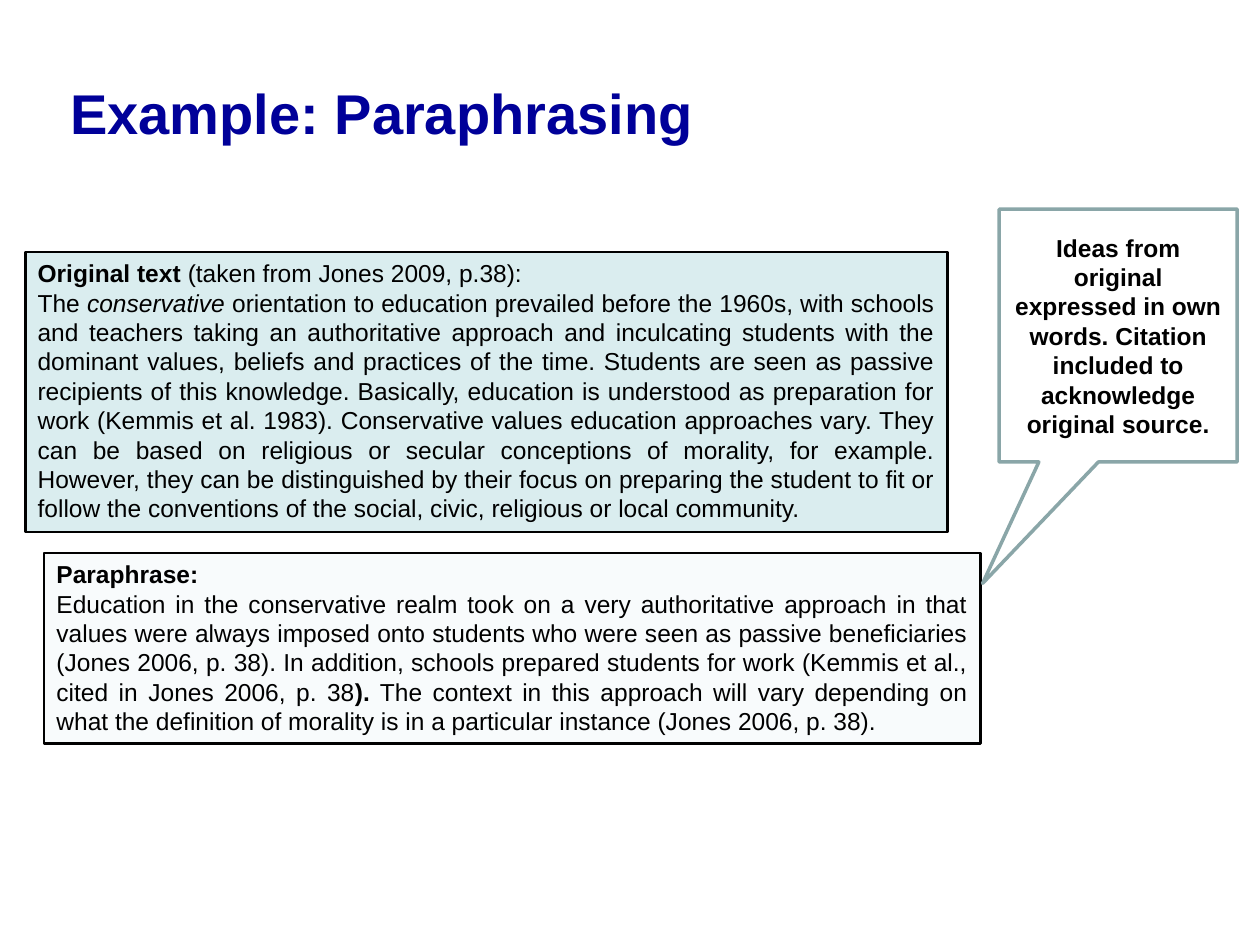
from pptx import Presentation
from pptx.dml.color import RGBColor
from pptx.enum import shapes, text
from pptx.util import Pt

NAVY = RGBColor(0x00, 0x00, 0x99)
BLACK = RGBColor(0x00, 0x00, 0x00)
WHITE = RGBColor(0xFF, 0xFF, 0xFF)
MINT = RGBColor(0xDA, 0xED, 0xEF)
PALE = RGBColor(0xF8, 0xFB, 0xFC)
SAGE = RGBColor(0x8A, 0xA6, 0xA8)

KIND = shapes.MSO_SHAPE
ALIGN = text.PP_ALIGN
ANCHOR = text.MSO_ANCHOR

SOURCE = [
    [("Original text ", "b"), ("(taken from Jones 2009, p.38):", "")],
    [("The ", ""), ("conservative", "i"),
     (" orientation to education prevailed before the 1960s, with schools and "
      "teachers taking an authoritative approach and inculcating students with "
      "the dominant values, beliefs and practices of the time. Students are seen "
      "as passive recipients of this knowledge. Basically, education is understood "
      "as preparation for work (Kemmis et al. 1983). Conservative values education "
      "approaches vary. They can be based on religious or secular conceptions of "
      "morality, for example. However, they can be distinguished by their focus on "
      "preparing the student to fit or follow the conventions of the social, civic, "
      "religious or local community.", "")],
]
REWRITE = [
    [("Paraphrase:", "b")],
    [("Education in the conservative realm took on a very authoritative approach "
      "in that values were always imposed onto students who were seen as passive "
      "beneficiaries (Jones 2006, p. 38). In addition, schools prepared students "
      "for work (Kemmis et al., cited in Jones 2006, p. 38", ""),
     (").", "b"),
     (" The context in this approach will vary depending on what the definition of "
      "morality is in a particular instance (Jones 2006, p. 38).", "")],
]
NOTE = [[("Ideas from original expressed in own words. Citation included to "
          "acknowledge original source.", "b")]]


def set_font(font, size, color):
    font.name = "Arial"
    font.size = Pt(size)
    font.color.rgb = color


def add_title(slide, words):
    title = slide.shapes.title
    title.left, title.top, title.width, title.height = map(Pt, (33, 45.5, 653, 67.5))
    frame = title.text_frame
    frame.text = words
    frame.vertical_anchor = ANCHOR.TOP
    frame.auto_size = text.MSO_AUTO_SIZE.NONE
    para = frame.paragraphs[0]
    para.alignment = ALIGN.LEFT
    para.line_spacing = 0.9
    para.space_before = Pt(3)
    set_font(para.font, 32, NAVY)
    para.font.bold = True


def add_panel(slide, kind, box, fill, line, width, paras, align, anchor):
    panel = slide.shapes.add_shape(kind, *map(Pt, box))
    panel.shadow.inherit = False
    panel.fill.solid()
    panel.fill.fore_color.rgb = fill
    panel.line.color.rgb = line
    panel.line.width = Pt(width)
    frame = panel.text_frame
    frame.word_wrap = True
    frame.vertical_anchor = anchor
    for i, parts in enumerate(paras):
        para = frame.add_paragraph() if i else frame.paragraphs[0]
        para.alignment = align
        set_font(para.font, 14, BLACK)
        for words, style in parts:
            run = para.add_run()
            run.text = words
            run.font.bold = style == "b"
            run.font.italic = style == "i"
    return panel


def main():
    deck = Presentation()
    deck.slide_width, deck.slide_height = Pt(720), Pt(540)
    slide = deck.slides.add_slide(deck.slide_layouts[5])
    add_title(slide, "Example: Paraphrasing")
    for box, fill, paras in (
        ((14.4, 144, 527, 160), MINT, SOURCE),
        ((25.2, 316, 535, 109), PALE, REWRITE),
    ):
        add_panel(slide, KIND.RECTANGLE, box, fill, BLACK, 1.5, paras,
                  ALIGN.JUSTIFY, ANCHOR.TOP)
    note = add_panel(slide, KIND.RECTANGULAR_CALLOUT, (571, 119.5, 136, 144.5),
                     WHITE, SAGE, 2, NOTE, ALIGN.CENTER, ANCHOR.MIDDLE)
    note.adjustments[0] = -0.57
    note.adjustments[1] = 0.98
    deck.save("out.pptx")


if __name__ == "__main__":
    main()
